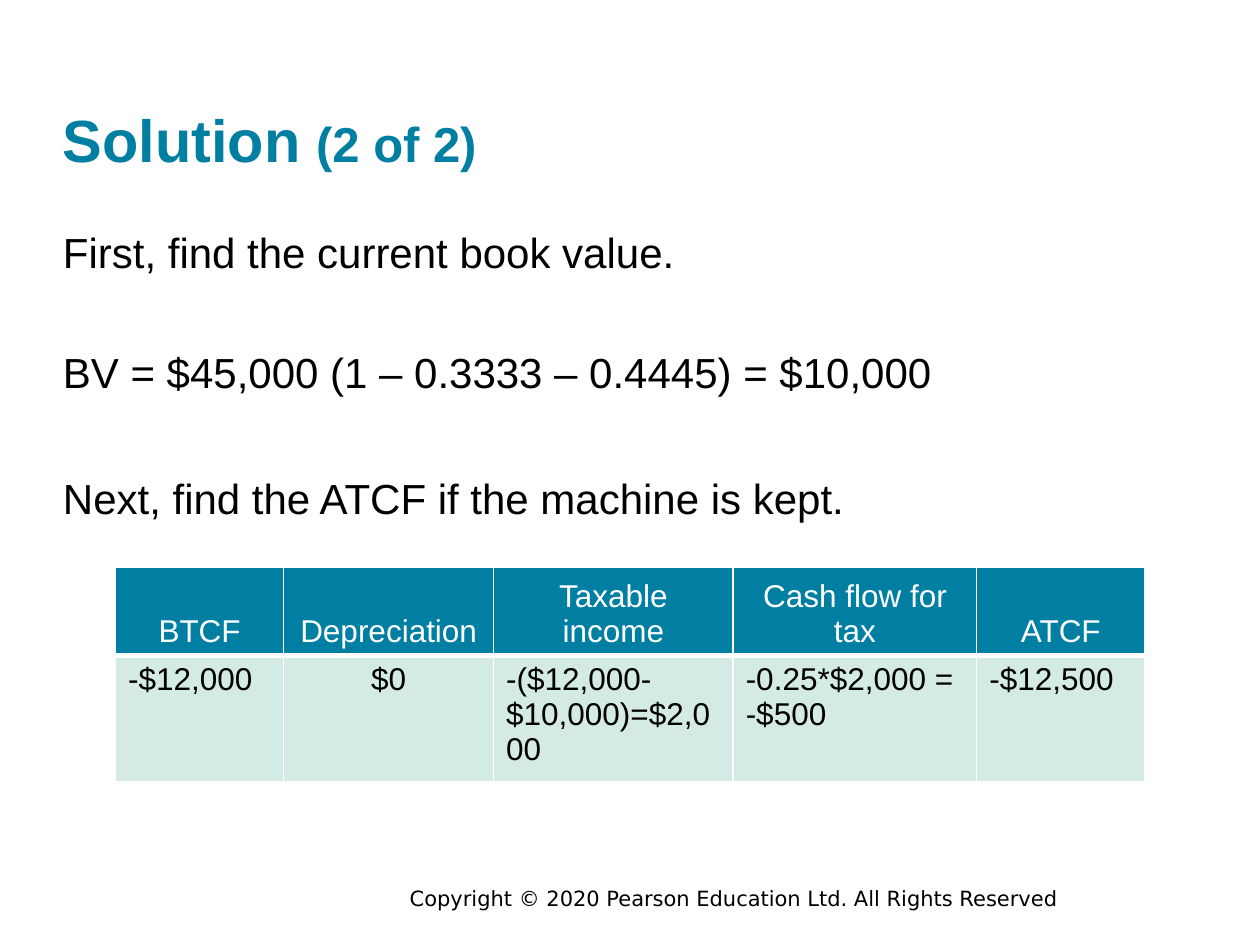
from typing import NamedTuple

from lxml.etree import SubElement
from pptx import Presentation
from pptx.dml.color import RGBColor
from pptx.enum.text import MSO_ANCHOR as Anchor, PP_ALIGN as Align
from pptx.oxml.ns import qn
from pptx.slide import Slide
from pptx.table import _Cell as Cell
from pptx.text.text import _Paragraph as Paragraph
from pptx.util import Cm, Pt

TEAL, MINT, BLACK, WHITE = "007FA3", "D4EAE4", "000000", "FFFFFF"


class Run(NamedTuple):
    text: str
    size: float
    color: str = BLACK
    bold: bool = False
    font: str = "Arial"


class TextLine(NamedTuple):
    left: float
    top: float
    width: float
    height: float
    runs: list[Run]


class Column(NamedTuple):
    width: float
    heading: str
    lines: list[str]
    align: Align = Align.LEFT


TEXT_LINES = [
    TextLine(8.26, 17.86, 16.71, 0.51,
             [Run("Copyright © 2020 Pearson Education Ltd. All Rights Reserved", 12, font="DejaVu Sans")]),
    TextLine(1.27, 2.08, 22.86, 1.45,
             [Run("Solution", 34, TEAL, True), Run(" ", 32, TEAL, True), Run("(2 of 2)", 28, TEAL, True)]),
] + [
    TextLine(1.27, top, 22.86, 1.02, [Run(text, 24)])
    for top, text in [
        (4.57, "First, find the current book value."),
        (6.99, "BV = $45,000 (1 – 0.3333 – 0.4445) = $10,000"),
        (9.53, "Next, find the ATCF if the machine is kept."),
    ]
]

COLUMNS = [
    Column(3.39, "BTCF", ["-$12,000"]),
    Column(4.23, "Depreciation", ["$0"], Align.CENTER),
    Column(4.83, "Taxable income", ["-($12,000-$10,000)=$2,000"]),
    Column(4.91, "Cash flow for tax", ["-0.25*$2,000 =", "-$500"]),
    Column(3.39, "ATCF", ["-$12,500"]),
]
ROW_HEIGHTS = [1.78, 2.54]


def rgb(color: str) -> RGBColor:
    return RGBColor.from_string(color)


def add_run(paragraph: Paragraph, content: Run) -> None:
    run = paragraph.add_run()
    run.text = content.text
    run.font.name = content.font
    run.font.size = Pt(content.size)
    run.font.bold = content.bold
    run.font.color.rgb = rgb(content.color)


def add_text_line(slide: Slide, line: TextLine) -> None:
    shape = slide.shapes.add_textbox(Cm(line.left), Cm(line.top), Cm(line.width), Cm(line.height))
    frame = shape.text_frame
    frame.word_wrap = True
    frame.margin_left = frame.margin_right = frame.margin_top = frame.margin_bottom = 0
    for run in line.runs:
        add_run(frame.paragraphs[0], run)


def set_borders(cell: Cell, top: float, bottom: float) -> None:
    """Draw white borders, one point wide at the sides."""
    properties = cell._tc.get_or_add_tcPr()
    for side, width in {"L": 1, "R": 1, "T": top, "B": bottom}.items():
        border = SubElement(properties, qn(f"a:ln{side}"), w=str(Pt(width)))
        fill = SubElement(border, qn("a:solidFill"))
        SubElement(fill, qn("a:srgbClr"), val=WHITE)


def fill_cell(cell: Cell, lines: list[str], align: Align, color: str, background: str) -> None:
    cell.fill.solid()
    cell.fill.fore_color.rgb = rgb(background)
    frame = cell.text_frame
    for index, text in enumerate(lines):
        paragraph = frame.add_paragraph() if index else frame.paragraphs[0]
        paragraph.alignment = align
        add_run(paragraph, Run(text, 18, color))


def add_cash_flow_table(slide: Slide) -> None:
    width = sum(column.width for column in COLUMNS)
    table = slide.shapes.add_table(
        len(ROW_HEIGHTS), len(COLUMNS), Cm(2.33), Cm(11.43), Cm(width), Cm(sum(ROW_HEIGHTS))
    ).table
    table.horz_banding = False
    table.first_row = False
    for row, height in zip(table.rows, ROW_HEIGHTS):
        row.height = Cm(height)
    for index, column in enumerate(COLUMNS):
        table.columns[index].width = Cm(column.width)
        heading, value = table.cell(0, index), table.cell(1, index)
        set_borders(heading, top=1, bottom=3)
        set_borders(value, top=3, bottom=1)
        heading.vertical_anchor = Anchor.BOTTOM
        fill_cell(heading, [column.heading], Align.CENTER, WHITE, TEAL)
        fill_cell(value, column.lines, column.align, BLACK, MINT)


def main() -> None:
    presentation = Presentation()
    presentation.slide_width, presentation.slide_height = Cm(25.4), Cm(19.05)
    slide = presentation.slides.add_slide(presentation.slide_layouts[6])
    for line in TEXT_LINES:
        add_text_line(slide, line)
    add_cash_flow_table(slide)
    presentation.save("out.pptx")


if __name__ == "__main__":
    main()
